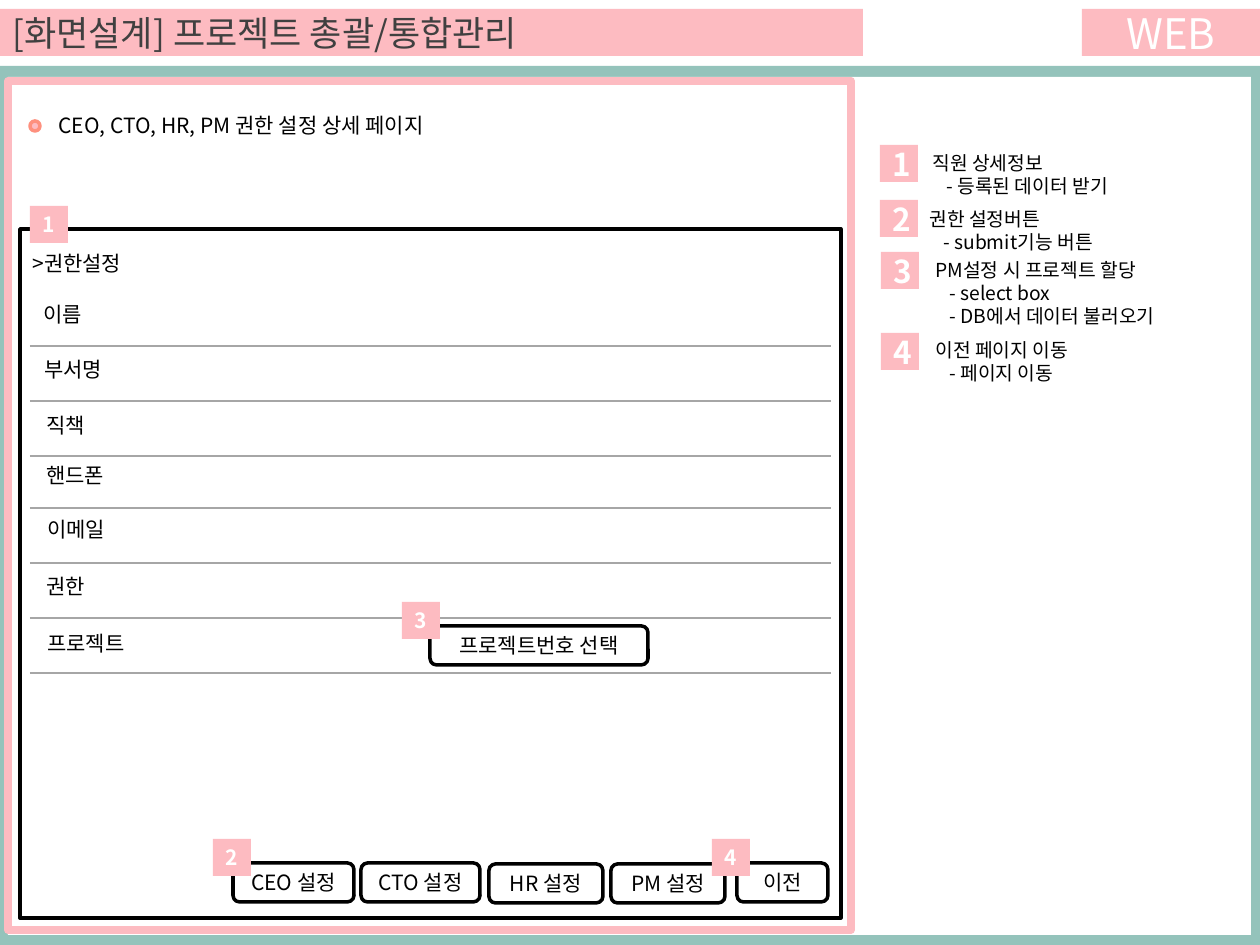
from lxml import etree
from pptx import Presentation
from pptx.dml.color import RGBColor
from pptx.enum.shapes import MSO_CONNECTOR, MSO_SHAPE
from pptx.enum.text import MSO_ANCHOR, MSO_AUTO_SIZE, PP_ALIGN
from pptx.oxml.ns import qn
from pptx.util import Pt

RECT, ROUND, OVAL = MSO_SHAPE.RECTANGLE, MSO_SHAPE.ROUNDED_RECTANGLE, MSO_SHAPE.OVAL
STRAIGHT = MSO_CONNECTOR.STRAIGHT
MIDDLE, TOP = MSO_ANCHOR.MIDDLE, MSO_ANCHOR.TOP
LEFT, CENTER = PP_ALIGN.LEFT, PP_ALIGN.CENTER
GROW = MSO_AUTO_SIZE.SHAPE_TO_FIT_TEXT
FONT = "Noto Sans CJK KR"
PINK, TEAL, CORAL = "FDBBC1", "94C3BB", "FE907E"
WHITE, BLACK, DARK, GRAY = "FFFFFF", "000000", "404040", "A6A6A6"

TITLE = "[화면설계] 프로젝트 총괄/통합관리"
ROWS = [
    ("이름", 31, 295, 346),
    ("부서명", 32, 350, 401),
    ("직책", 34, 406, 456),
    ("핸드폰", 34, 456, 508),
    ("이메일", 35, 510, 563),
    ("권한", 34, 567, 618),
    ("프로젝트", 35, 624, 673),
]
BUTTONS = [
    ("CEO 설정", 233, 863, 121),
    ("CTO 설정", 361, 863, 119),
    ("HR 설정", 489, 864, 114),
    ("PM 설정", 611, 864, 114),
    ("이전", 737, 863, 91),
    ("프로젝트번호 선택", 430, 626, 218),
]
MARKS = [("1", 30, 206), ("2", 213, 839), ("3", 402, 602), ("4", 712, 839)]
LEGEND = [
    ("1", 880, 145, 920, 145, ["직원 상세정보", "- 등록된 데이터 받기"]),
    ("2", 880, 200, 917, 201, ["권한 설정버튼", "- submit기능 버튼"]),
    ("3", 881, 252, 923, 252,
     ["PM설정 시 프로젝트 할당", "- select box", "- DB에서 데이터 불러오기"]),
    ("4", 881, 333, 923, 332, ["이전 페이지 이동", "- 페이지 이동"]),
]

deck = Presentation()


def px(n):
    return n * 7257


def color(text):
    return RGBColor.from_string(text)


deck.slide_width, deck.slide_height = 9144000, 6858000
slide = deck.slides.add_slide(deck.slide_layouts[6])


def write(shape, lines, size=12, ink=BLACK, bold=False, align=LEFT, anchor=MIDDLE):
    frame = shape.text_frame
    frame.word_wrap = True
    frame.vertical_anchor = anchor
    for i, line in enumerate(lines):
        para = frame.paragraphs[0] if i == 0 else frame.add_paragraph()
        para.alignment = align
        if line.startswith("- "):
            para._p.get_or_add_pPr().set("marL", str(px(14)))
        run = para.add_run()
        run.text = line
        font = run.font
        font.size, font.bold, font.name = Pt(size), bold, FONT
        font.color.rgb = color(ink)
        east = etree.SubElement(run._r.get_or_add_rPr(), qn("a:ea"))
        east.set("typeface", FONT)


def box(x, y, w, h, fill=None, line=None, width=2, kind=RECT):
    shape = slide.shapes.add_shape(kind, px(x), px(y), px(w), px(h))
    shape.shadow.inherit = False
    if fill:
        shape.fill.solid()
        shape.fill.fore_color.rgb = color(fill)
    else:
        shape.fill.background()
    if line:
        shape.line.color.rgb = color(line)
        shape.line.width = Pt(width)
    else:
        shape.line.fill.background()
    return shape


def label(x, y, w, h, lines, size=12):
    shape = slide.shapes.add_textbox(px(x), px(y), px(w), px(h))
    write(shape, lines, size=size, anchor=TOP)
    shape.text_frame.auto_size = GROW


def badge(x, y, text, size):
    write(box(x, y, 38, 37, PINK), [text], size=size, ink=WHITE, bold=True, align=CENTER)


def rule(y):
    line = slide.shapes.add_connector(STRAIGHT, px(30), px(y), px(831), px(y))
    line.line.color.rgb = color(GRAY)
    line.line.width = Pt(1)
    etree.SubElement(line._element.spPr, qn("a:effectLst"))


box(0, 66, 1260, 879, TEAL)
box(8, 77, 1243, 858, WHITE)
box(8, 81, 843, 849, line=PINK, width=4.5)
write(box(0, 9, 863, 47, PINK), [TITLE], size=20, ink=DARK)
write(box(1082, 9, 178, 47, PINK), ["WEB"], size=24, ink=WHITE, align=CENTER)
box(30, 121, 10, 10, PINK, CORAL, kind=OVAL)
label(46, 106, 486, 38, ["CEO, CTO, HR, PM 권한 설정 상세 페이지"])

for text, x, y, left, top, lines in LEGEND:
    badge(x, y, text, 18)
    label(left, top, 300, 13 + 23 * len(lines), lines, size=11)

box(20, 229, 821, 689, WHITE, BLACK)
label(20, 244, 131, 38, [">권한설정"])
for text, x, y, base in ROWS:
    label(x, y, 137, 38, [text])
    rule(base)
for text, x, y, w in BUTTONS:
    write(box(x, y, w, 39, WHITE, BLACK, kind=ROUND), [text], align=CENTER)
for text, x, y in MARKS:
    badge(x, y, text, 12)

deck.save("out.pptx")
